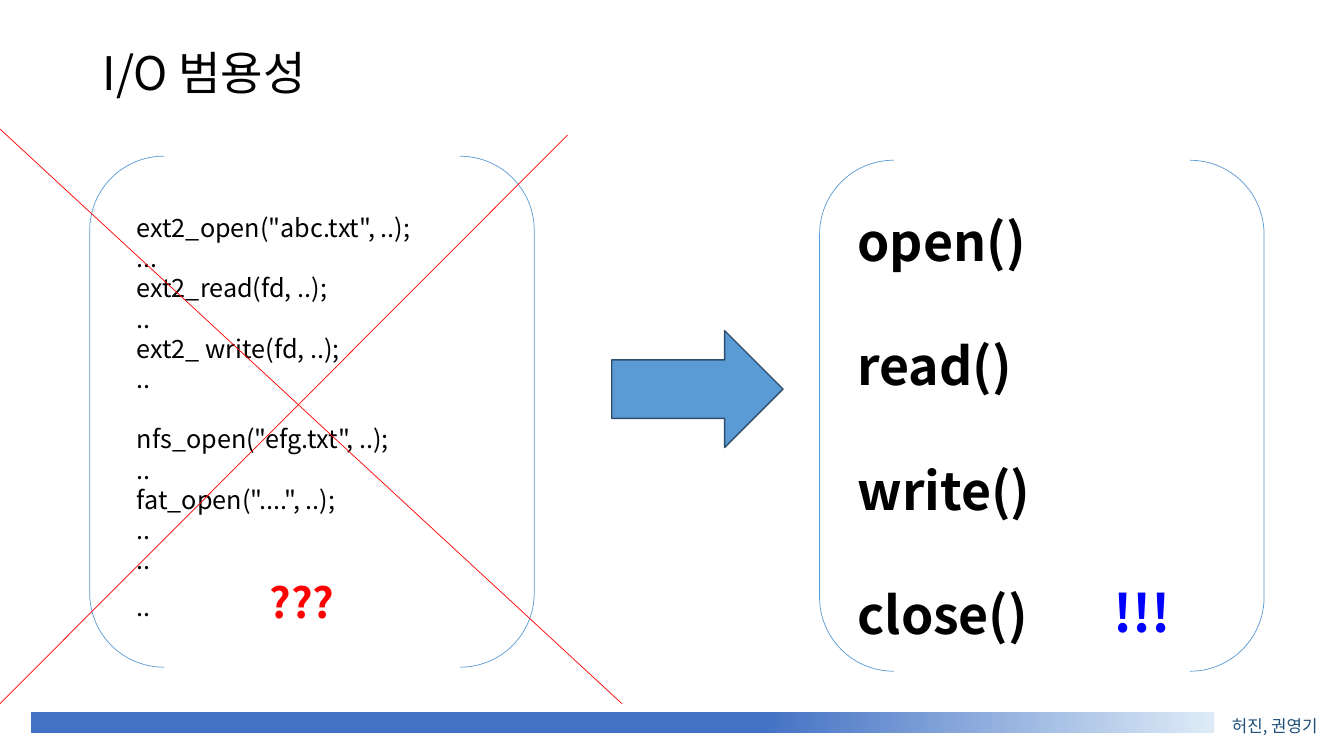
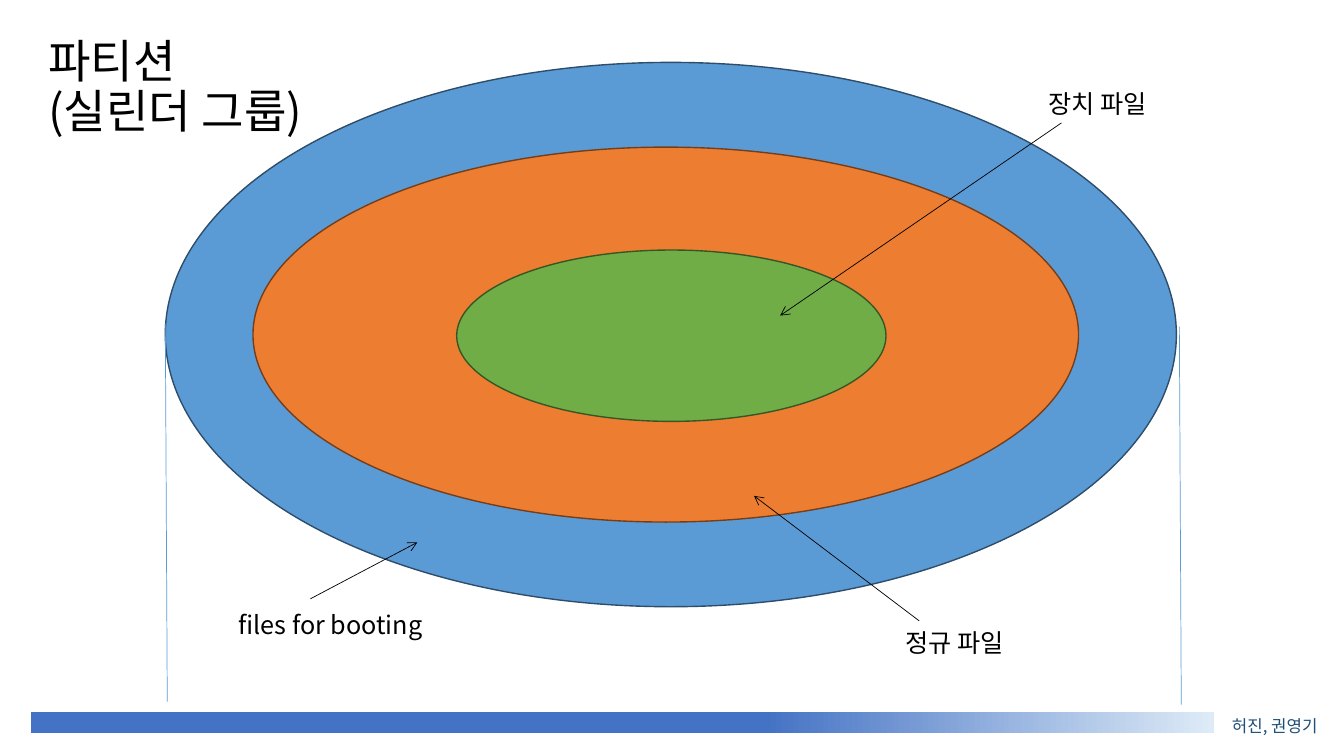
from dataclasses import dataclass

from lxml.etree import SubElement
from pptx import Presentation
from pptx.dml.color import RGBColor
from pptx.enum.shapes import MSO_CONNECTOR, MSO_SHAPE
from pptx.enum.text import PP_ALIGN
from pptx.oxml.ns import qn
from pptx.util import Pt


@dataclass(frozen=True)
class Theme:
    font: str = "Noto Sans CJK KR"
    title_size: int = 33
    call_size: int = 37
    mark_size: int = 30
    body_size: int = 18
    footer_size: int = 12
    line_height: float = 1.2
    baseline_drop: float = 0.1
    hairline: float = 0.5
    outline: float = 1
    black: str = "000000"
    red: str = "FF0000"
    mark_blue: str = "0000FF"
    blue: str = "5B9BD5"
    blue_edge: str = "2D4D6A"
    orange: str = "ED7D31"
    orange_edge: str = "763E18"
    green: str = "70AD47"
    green_edge: str = "385623"
    band_dark: str = "4472C4"
    band_light: str = "DEEBF7"
    footer: str = "1F4E79"


THEME = Theme()

# Shared content; boxes are left, top, width, height in points
FOOTER = "허진, 권영기"
BAND_BOX = (22.3, 508.3, 844.6, 15.1)
FOOTER_BOX = (861, 499.5, 99, 28.8)
TITLE_WIDTH, TITLE_HEIGHT = 525.6, 49.7

# I/O slide content: code groups are separated by a one-line gap
IO_TITLE = ["I/O 범용성"]
CODE_GROUPS = [
    ['ext2_open("abc.txt", ..);', "...", "ext2_read(fd, ..);", "..",
     "ext2_ write(fd, ..);", ".."],
    ['nfs_open("efg.txt", ..);', "..", 'fat_open("....", ..);', "..", ".."],
]
CODE_END = ".."
CALLS = ["open()", "read()", "write()", "close()"]
BRACKETS = [(64.1, 111.6, 317.5, 365), (585.4, 114.5, 317.5, 365)]
CROSS = [((0, 92.2), (444.2, 502.6)), ((405.4, 96.5), (0, 502.6))]
ARROW_BOX = (437, 236.2, 122.4, 83.5)
CODE_BOX = (90.7, 146.2, 269.3, 302.4)
CALLS_BOX = (605.5, 142.6, 283.7, 317.5)
QUESTION_BOX = (185.7, 405.6, 80, 43.2)
EXCLAIM_BOX = (788, 407.7, 80, 51.6)

# Partition slide content: rings from the outside in
PARTITION_TITLE = ["파티션", "(실린더 그룹)"]
RINGS = [
    ((118.1, 44.6, 722.2, 388.8), THEME.blue, THEME.blue_edge),
    ((180.7, 105.1, 589.7, 267.8), THEME.orange, THEME.orange_edge),
    ((326.2, 178.6, 306.7, 122.4), THEME.green, THEME.green_edge),
]
EDGE_LINES = [((118.1, 231.1), (119.5, 501.1)), ((842.4, 233.3), (843.8, 503.3))]
RING_LABELS = [
    ("files for booting", (163.4, 429.8, 169.9, 28.8), (221.8, 427.7), (298.1, 387.4)),
    ("정규 파일", (639.4, 442.8, 161.3, 28.8), (656.6, 443.5), (538.6, 354.2)),
    ("장치 파일", (741.6, 57.6, 167.8, 28.8), (758.2, 87.8), (557.3, 225.4)),
]


def color(value):
    return RGBColor.from_string(value)


def points(lengths):
    return [Pt(length) for length in lengths]


def add_text(slide, box, lines, size, ink=THEME.black, bold=False,
             spacing=THEME.line_height, align=PP_ALIGN.LEFT, gaps=None):
    """Add lines of text; gaps maps a line number to the space before it."""
    left, top, width, height = box
    top += size * THEME.baseline_drop
    frame = slide.shapes.add_textbox(*points((left, top, width, height))).text_frame
    frame.word_wrap = True
    frame.text = "\n".join(lines)
    for number, paragraph in enumerate(frame.paragraphs):
        paragraph.alignment = align
        paragraph.line_spacing = Pt(size * spacing)
        paragraph.space_before = Pt((gaps or {}).get(number, 0))
        for run in paragraph.runs:
            run.font.name = THEME.font
            run.font.size = Pt(size)
            run.font.bold = bold
            run.font.color.rgb = color(ink)
            east_asian = SubElement(run.font._element, qn("a:ea"))
            east_asian.set("typeface", THEME.font)


def add_shape(slide, kind, box, fill=None, edge=None, weight=THEME.outline):
    shape = slide.shapes.add_shape(kind, *points(box))
    shape.shadow.inherit = False
    if fill:
        shape.fill.solid()
        shape.fill.fore_color.rgb = color(fill)
    else:
        shape.fill.background()
    if edge:
        shape.line.color.rgb = color(edge)
        shape.line.width = Pt(weight)
    else:
        shape.line.fill.background()
    return shape


def add_line(slide, start, end, ink, arrow=False):
    connector = slide.shapes.add_connector(
        MSO_CONNECTOR.STRAIGHT, *points((*start, *end)))
    connector.line.color.rgb = color(ink)
    connector.line.width = Pt(THEME.hairline)
    if arrow:
        SubElement(connector.line._get_or_add_ln(), qn("a:tailEnd")).set("type", "arrow")
    SubElement(connector._element.spPr, qn("a:effectLst"))


def new_slide(presentation, title, left, top):
    """Start a slide with the shared band, footer and title."""
    slide = presentation.slides.add_slide(presentation.slide_layouts[6])
    band = add_shape(slide, MSO_SHAPE.RECTANGLE, BAND_BOX)
    band.fill.gradient()
    band.fill.gradient_angle = 0
    stops = ((0.62, THEME.band_dark), (1, THEME.band_light))
    for stop, (position, tint) in zip(band.fill.gradient_stops, stops):
        stop.position = position
        stop.color.rgb = color(tint)
    add_text(slide, FOOTER_BOX, [FOOTER], THEME.footer_size, THEME.footer,
             spacing=1.8, align=PP_ALIGN.CENTER)
    add_text(slide, (left, top, TITLE_WIDTH, TITLE_HEIGHT), title,
             THEME.title_size, spacing=0.9 * THEME.line_height)
    return slide


def build_io_slide(presentation):
    slide = new_slide(presentation, IO_TITLE, 66.2, 28.8)
    for box in BRACKETS:
        add_shape(slide, MSO_SHAPE.DOUBLE_BRACKET, box,
                  edge=THEME.blue, weight=THEME.hairline)

    # File-system specific calls, crossed out
    first, second = CODE_GROUPS
    code = [*first, *second, CODE_END]
    gaps = {len(first): THEME.body_size * THEME.line_height,
            len(code) - 1: THEME.mark_size - THEME.body_size}
    add_text(slide, CODE_BOX, code, THEME.body_size, gaps=gaps)
    add_text(slide, QUESTION_BOX, ["???"], THEME.mark_size, THEME.red, bold=True)
    for start, end in CROSS:
        add_line(slide, start, end, THEME.red)

    # Universal calls
    add_shape(slide, MSO_SHAPE.RIGHT_ARROW, ARROW_BOX, THEME.blue, THEME.blue_edge)
    one_line = THEME.call_size * THEME.line_height
    gaps = {number: one_line for number in range(1, len(CALLS))}
    add_text(slide, CALLS_BOX, CALLS, THEME.call_size, bold=True, gaps=gaps)
    add_text(slide, EXCLAIM_BOX, ["!!!"], THEME.call_size, THEME.mark_blue, bold=True)


def build_partition_slide(presentation):
    slide = new_slide(presentation, PARTITION_TITLE, 27.4, 20.2)
    for box, fill, edge in RINGS:
        add_shape(slide, MSO_SHAPE.OVAL, box, fill, edge)
    for start, end in EDGE_LINES:
        add_line(slide, start, end, THEME.blue)
    for label, box, start, end in RING_LABELS:
        add_line(slide, start, end, THEME.black, arrow=True)
        add_text(slide, box, [label], THEME.body_size)


def main():
    presentation = Presentation()
    presentation.slide_width, presentation.slide_height = Pt(960), Pt(540)
    build_io_slide(presentation)
    build_partition_slide(presentation)
    presentation.save("out.pptx")


if __name__ == "__main__":
    main()
